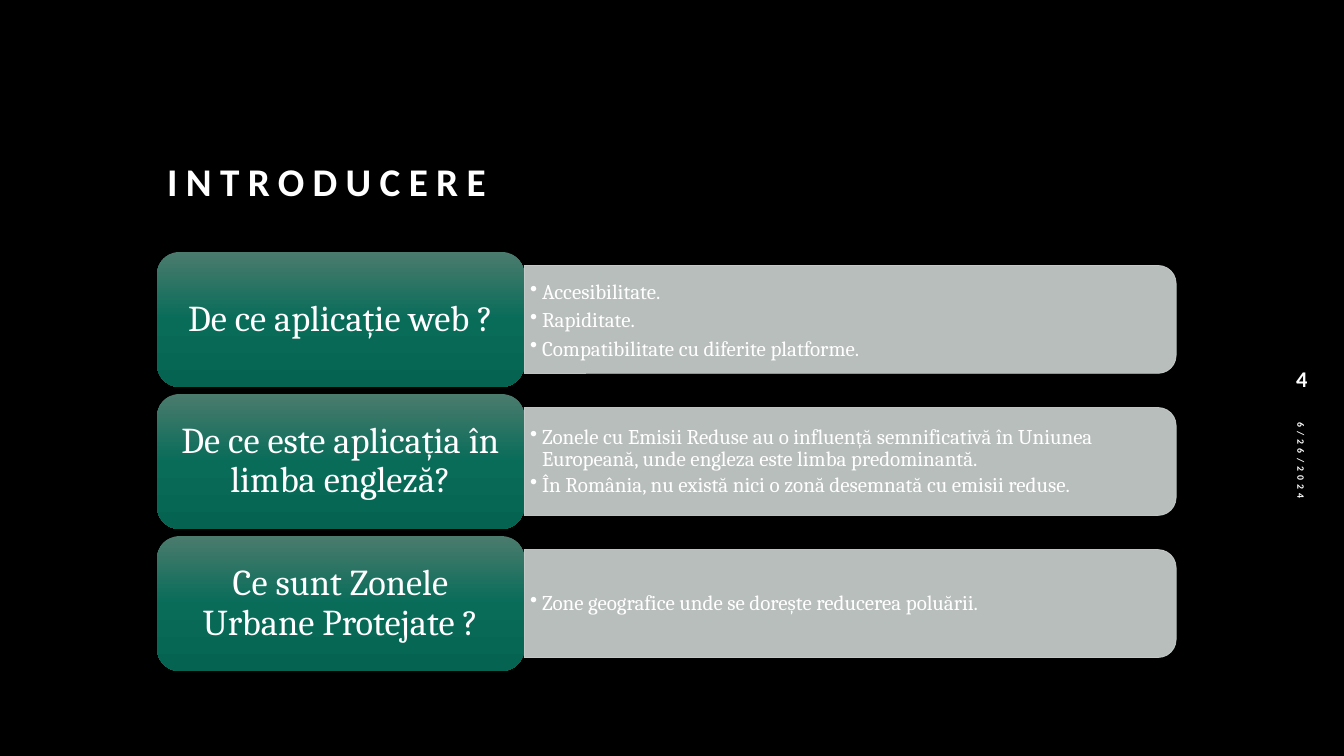
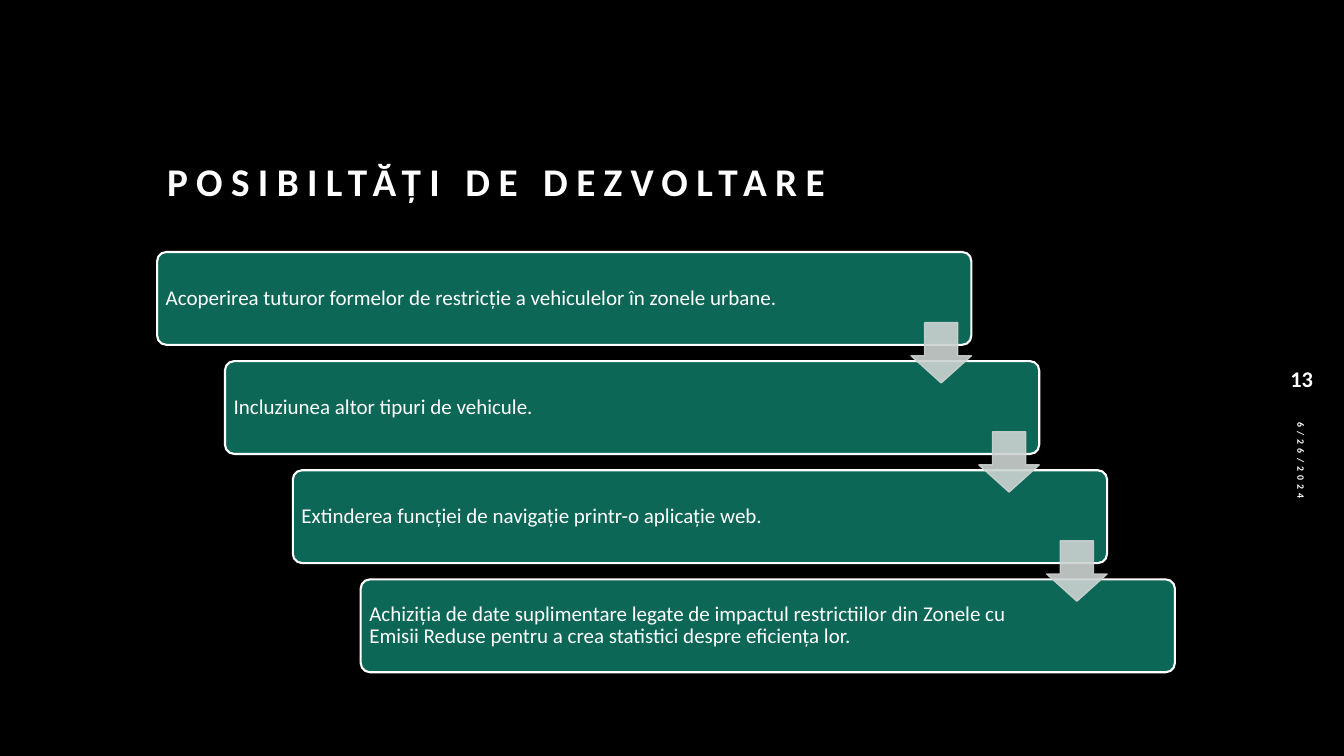
from copy import deepcopy

from lxml.etree import SubElement
from pptx import Presentation
from pptx.dml.color import RGBColor
from pptx.enum.shapes import MSO_SHAPE
from pptx.enum.text import MSO_ANCHOR, MSO_AUTO_SIZE, PP_ALIGN
from pptx.oxml.ns import qn
from pptx.util import Cm, Pt

WHITE, BLACK, GREEN, SILVER = "FFFFFF", "000000", "0D6756", "CCD3D1"
CARD_GRADIENT = [(0, "4B7B6D"), (0.5, "086C59"), (1, "046451")]
LEFT, TOP = 3.96, 6.35

TITLE = dict(name="Calibri", size=Pt(28), bold=True)
DATE = dict(name="Calibri", size=Pt(7), bold=True)
PAGE = dict(name="Calibri", size=Pt(16), bold=True)
CARD = dict(name="Cambria", size=Pt(26))
LIST = dict(name="Cambria", size=Pt(15))
STEP = dict(name="Calibri", size=Pt(15))


def color(value):
    return RGBColor.from_string(value)


def apply(target, values):
    for name, value in values.items():
        setattr(target, name, value)


class Deck:
    def __init__(self):
        self.presentation = Presentation()
        apply(self.presentation, dict(slide_width=Cm(33.87), slide_height=Cm(19.05)))
        background = self.presentation.slide_master.background.fill
        background.solid()
        background.fore_color.rgb = color(BLACK)
        self.slide = None

    def add_slide(self, title, number):
        self.slide = self.presentation.slides.add_slide(self.presentation.slide_layouts[5])
        shape = self.slide.shapes.title
        apply(shape, dict(left=Cm(LEFT), top=Cm(2.9), width=Cm(25.65), height=Cm(2.39)))
        self.add_text(shape, [title], TITLE, dict(alignment=PP_ALIGN.LEFT, line_spacing=1.2),
                      anchor=MSO_ANCHOR.BOTTOM, tracking=6)
        date = self.text_box(29.08, 13.59, 7.42, 1.02)
        date.rotation = 90
        self.add_text(date, ["6/26/2024"], DATE, dict(space_after=Pt(6)), tracking=3)
        page = self.text_box(31.93, 8.94, 1.75, 1.19)
        self.add_text(page, [number], PAGE, dict(alignment=PP_ALIGN.CENTER, space_after=Pt(6)))

    def text_box(self, left, top, width, height):
        return self.slide.shapes.add_textbox(Cm(left), Cm(top), Cm(width), Cm(height))

    def add_text(self, shape, lines, font, layout, insets=(0.25, 0.13, 0.25, 0.13),
                 anchor=MSO_ANCHOR.MIDDLE, tracking=0, bullets=False):
        frame = shape.text_frame
        sides = ("margin_left", "margin_top", "margin_right", "margin_bottom")
        apply(frame, dict(zip(sides, map(Cm, insets))))
        apply(frame, dict(word_wrap=True, auto_size=MSO_AUTO_SIZE.NONE, vertical_anchor=anchor))
        for index, line in enumerate(lines):
            paragraph = frame.add_paragraph() if index else frame.paragraphs[0]
            apply(paragraph, layout)
            if bullets:
                self.bullet(paragraph)
            run = paragraph.add_run()
            run.text = line
            apply(run.font, font)
            run.font.color.rgb = color(WHITE)
            if tracking:
                run._r.get_or_add_rPr().set("spc", str(tracking * 100))

    def bullet(self, paragraph):
        properties = paragraph._p.get_or_add_pPr()
        properties.set("marL", str(Cm(0.3)))
        properties.set("indent", str(Cm(-0.3)))
        SubElement(properties, qn("a:buChar")).set("char", "•")

    def shape(self, kind, left, top, width, height, fill=None, line=None, line_width=0,
              opacity=None, adjustments=()):
        shape = self.slide.shapes.add_shape(kind, Cm(left), Cm(top), Cm(width), Cm(height))
        shape.shadow.inherit = False
        for index, value in enumerate(adjustments):
            shape.adjustments[index] = value
        if fill:
            shape.fill.solid()
            shape.fill.fore_color.rgb = color(fill)
        if line:
            shape.line.color.rgb = color(line)
            shape.line.width = Pt(line_width)
        else:
            shape.line.fill.background()
        if opacity:
            for element in shape._element.spPr.iter(qn("a:srgbClr")):
                SubElement(element, qn("a:alpha")).set("val", str(opacity * 1000))
        return shape

    def card(self, left, top, width, height, text):
        shape = self.shape(MSO_SHAPE.ROUNDED_RECTANGLE, left, top, width, height)
        shape.fill.gradient()
        shape.fill.gradient_angle = 270
        first_stop = shape._element.spPr.find(".//" + qn("a:gs"))
        first_stop.addnext(deepcopy(first_stop))
        for stop, (position, value) in zip(shape.fill.gradient_stops, CARD_GRADIENT):
            stop.position = position
            stop.color.rgb = color(value)
        self.add_text(shape, [text], CARD, dict(alignment=PP_ALIGN.CENTER, line_spacing=0.9,
                                                space_after=Pt(9)), (0.28, 0.13, 0.28, 0.13))

    def panel(self, left, top, width, height, lines, spacing):
        turn = (width - height) / 2
        shape = self.shape(MSO_SHAPE.ROUND_2_SAME_RECTANGLE, left + turn, top - turn, height, width,
                           SILVER, SILVER, 0.5, 90)
        shape.rotation = 90
        box = self.text_box(left, top + 0.13, width - 0.15, height - 0.26)
        self.add_text(box, lines, LIST, dict(line_spacing=spacing, space_after=Pt(2.25)),
                      (0.15, 0.08, 0.15, 0.08), bullets=True)

    def step(self, left, top, width, height, text):
        shape = self.shape(MSO_SHAPE.ROUNDED_RECTANGLE, left, top, width, height,
                           GREEN, WHITE, 1.5, adjustments=[0.1])
        self.add_text(shape, [text], STEP, dict(alignment=PP_ALIGN.LEFT, line_spacing=0.9,
                                                space_after=Pt(5.25)), (0.15, 0.15, 3.35, 0.15))

    def arrow(self, left, top, size):
        self.shape(MSO_SHAPE.DOWN_ARROW, left, top, size, size, SILVER, SILVER, 1, 90, [0.55, 0.45])


def introduction(deck):
    deck.add_slide("INTRODUCERE", "4")
    questions = [
        ("De ce aplicație web ?", 1.0,
         ["Accesibilitate.", "Rapiditate.", "Compatibilitate cu diferite platforme."]),
        ("De ce este aplicația în limba engleză?", 0.9,
         ["Zonele cu Emisii Reduse au o influență semnificativă în Uniunea Europeană, "
          "unde engleza este limba predominantă.",
          "În România, nu există nici o zonă desemnată cu emisii reduse."]),
        ("Ce sunt Zonele Urbane Protejate ?", 0.9,
         ["Zone geografice unde se dorește reducerea poluării."]),
    ]
    width, height, panel_height = 9.25, 3.4, 2.72
    for index, (question, spacing, answers) in enumerate(questions):
        top = TOP + index * 3.58
        deck.panel(LEFT + width, top + (height - panel_height) / 2, 16.43, panel_height,
                   answers, spacing)
        deck.card(LEFT, top, width, height, question)


def development(deck):
    deck.add_slide("POSIBILTĂȚI DE DEZVOLTARE", "13")
    steps = [
        "Acoperirea tuturor formelor de restricție a vehiculelor în zonele urbane.",
        "Incluziunea altor tipuri de vehicule.",
        "Extinderea funcției de navigație printr-o aplicație web.",
        "Achiziția de date suplimentare legate de impactul restrictiilor din Zonele cu "
        "Emisii Reduse pentru a crea statistici despre eficiența lor.",
    ]
    width, height, arrow_size = 20.52, 2.34, 1.52
    corners = [(LEFT + index * 1.71, TOP + index * 2.75) for index in range(len(steps))]
    for (left, top), text in zip(corners, steps):
        deck.step(left, top, width, height, text)
    for left, top in corners[:-1]:
        deck.arrow(left + width - arrow_size, top + 1.78, arrow_size)


def main():
    deck = Deck()
    introduction(deck)
    development(deck)
    deck.presentation.save("out.pptx")


if __name__ == "__main__":
    main()
